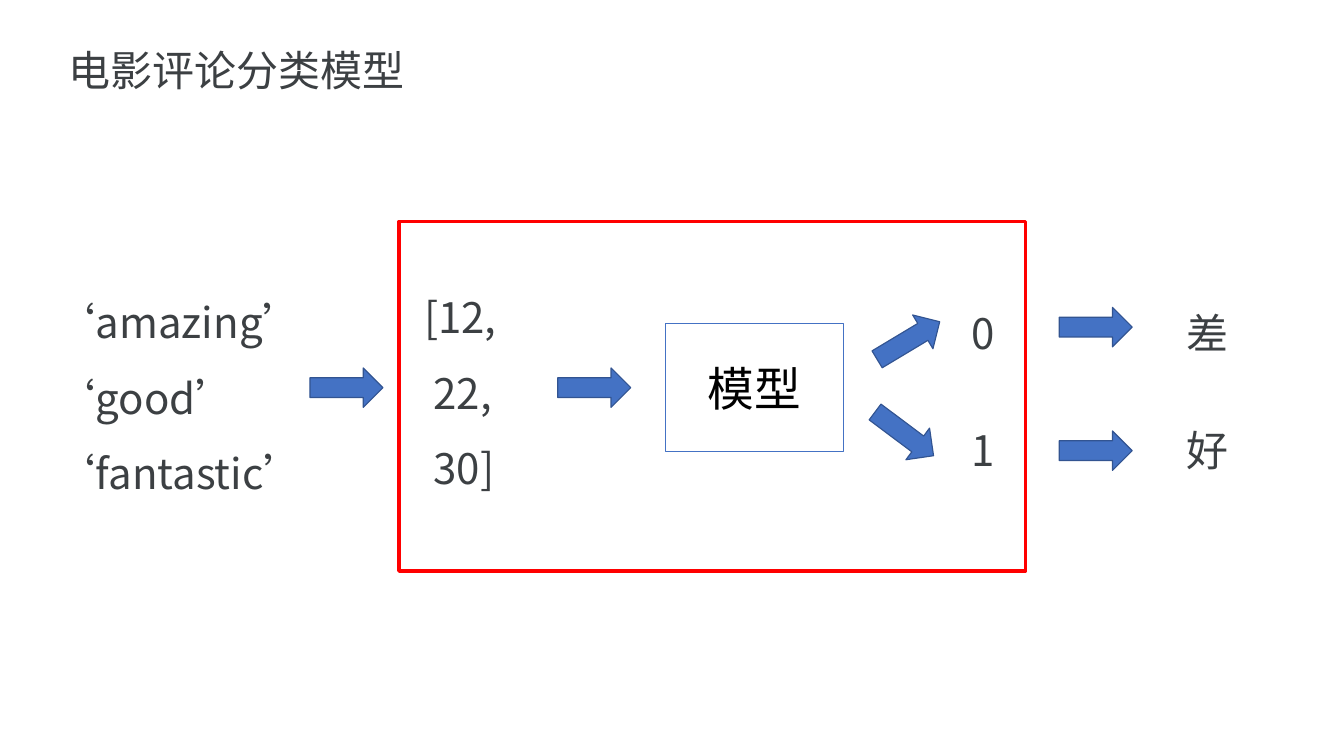
import dataclasses

import pptx
import pptx.dml.color
import pptx.enum.lang
import pptx.enum.shapes
import pptx.enum.text
import pptx.oxml
import pptx.util

Pt = pptx.util.Pt
SHAPE = pptx.enum.shapes.MSO_SHAPE
ALIGN = pptx.enum.text.PP_ALIGN
ANCHOR = pptx.enum.text.MSO_ANCHOR
CHINESE = pptx.enum.lang.MSO_LANGUAGE_ID.SIMPLIFIED_CHINESE
rgb = pptx.dml.color.RGBColor.from_string


@dataclasses.dataclass
class Theme:
    font: str = "Noto Sans CJK SC"
    ink: str = "3C4043"
    black: str = "000000"
    white: str = "FFFFFF"
    blue: str = "4472C4"
    edge: str = "325491"
    red: str = "FF0000"
    body: int = 36
    label: int = 40


theme = Theme()


def write(shape, lines, size=theme.body, color=theme.ink, align=ALIGN.LEFT,
          spacing=1.0, anchor=ANCHOR.TOP):
    """Fill a shape with one paragraph per line."""
    frame = shape.text_frame
    frame.word_wrap = True
    frame.vertical_anchor = anchor
    frame.margin_left = frame.margin_right = Pt(7.2)
    frame.margin_top = frame.margin_bottom = Pt(7.2)
    for i, line in enumerate(lines):
        para = frame.add_paragraph() if i else frame.paragraphs[0]
        para.alignment = align
        para.line_spacing = spacing
        run = para.add_run()
        run.text = line
        font = run.font
        font.name = theme.font
        font.size = Pt(size)
        font.color.rgb = rgb(color)
        font.language_id = CHINESE
        asian = pptx.oxml.parse_xml(
            '<a:ea xmlns:a="http://schemas.openxmlformats.org/drawingml/2006/main"'
            f' typeface="{theme.font}"/>')
        run.font._element.append(asian)


def draw(kind, left, top, width, height, fill, line, weight=1):
    """Add a preset shape; a fill of None leaves it open."""
    shape = slide.shapes.add_shape(kind, Pt(left), Pt(top), Pt(width), Pt(height))
    shape.shadow.inherit = False
    if fill:
        shape.fill.solid()
        shape.fill.fore_color.rgb = rgb(fill)
    else:
        shape.fill.background()
    shape.line.color.rgb = rgb(line)
    shape.line.width = Pt(weight)
    return shape


deck = pptx.Presentation()
deck.slide_width, deck.slide_height = Pt(1152), Pt(648)
slide = deck.slides.add_slide(deck.slide_layouts[6])

# Title, words and their codes
blocks = [
    (52, 31, 1115 - 52, 55.4, ["电影评论分类模型"], 1.0),
    (39, 225.4, 237, 173.5, ["‘amazing’", "‘good’", "‘fantastic’"], 1.5),
    (356.4, 221, 134.6, 157, ["[12,", " 22,", " 30]"], 1.5),
]
for left, top, width, height, lines, spacing in blocks:
    box = slide.shapes.add_textbox(Pt(left), Pt(top), Pt(width), Pt(height))
    write(box, lines, spacing=spacing)

# Model
model = draw(SHAPE.RECTANGLE, 570.2, 277.2, 152.6, 110.2, theme.white, theme.blue)
write(model, ["模型"], theme.label, theme.black, ALIGN.CENTER, anchor=ANCHOR.MIDDLE)

# Each output class with its meaning
for top, pair in ((256.3, "0差"), (357.1, "1好")):
    for left, mark in zip((805.7, 997.9), pair):
        box = slide.shapes.add_textbox(Pt(left), Pt(top), Pt(73.4), Pt(55.4))
        write(box, [mark], align=ALIGN.CENTER)

# Arrows: left, top, turn
arrows = [
    (265.7, 315.4, 0),
    (478.1, 315.4, 0),
    (747.4, 275, 329),
    (743.8, 355, 36.8),
    (907.9, 263.5, 0),
    (907.9, 369.4, 0),
]
for left, top, turn in arrows:
    arrow = draw(SHAPE.RIGHT_ARROW, left, top, 62.6, 33.8, theme.blue, theme.edge)
    arrow.rotation = turn

# Frame around the learned part
draw(SHAPE.RECTANGLE, 342, 190, 537, 299.5, None, theme.red, 3)

deck.save("out.pptx")
